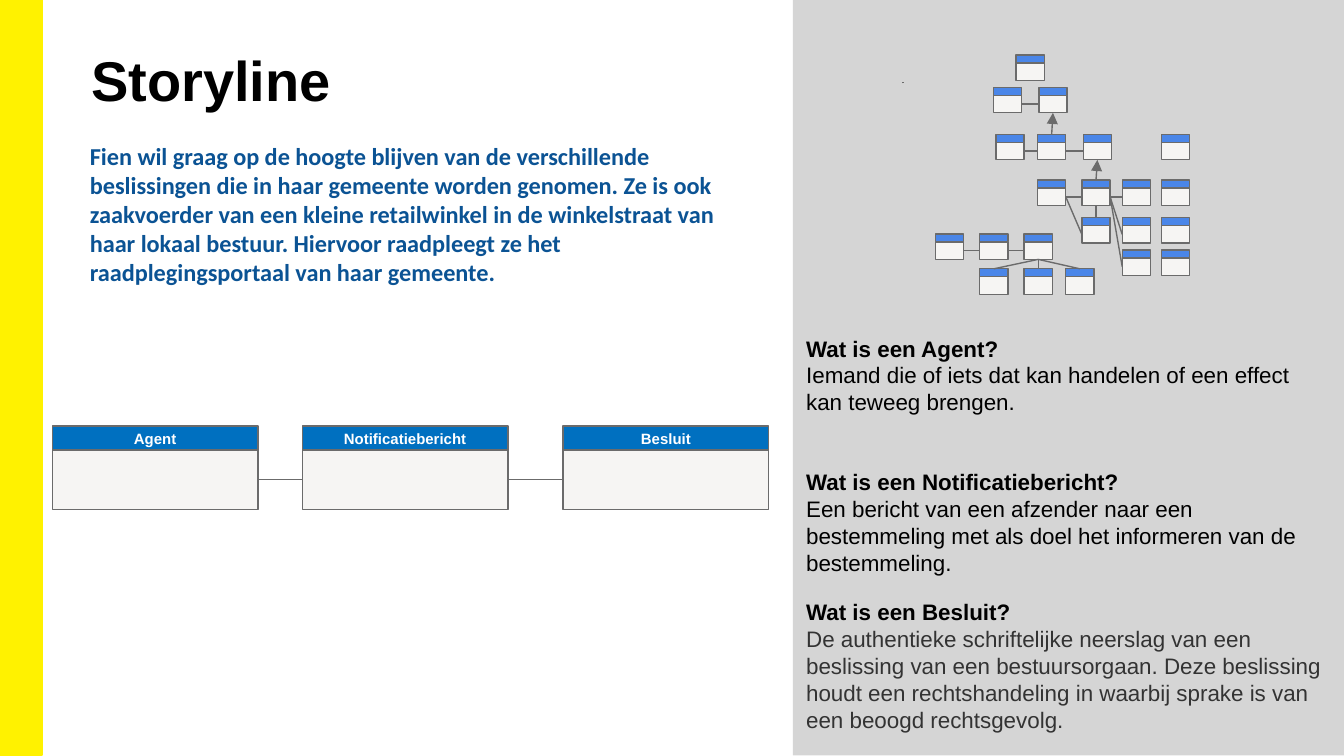
from lxml import etree
from pptx import Presentation
from pptx.dml.color import RGBColor
from pptx.enum.shapes import MSO_CONNECTOR, MSO_SHAPE
from pptx.enum.text import MSO_ANCHOR, PP_ALIGN
from pptx.oxml.ns import qn
from pptx.util import Inches, Pt

GREY = "6B6B6B"
TOP, LEFT, BOTTOM, RIGHT = range(4)

rgb = RGBColor.from_string
prs = Presentation()
prs.slide_width = Inches(10)
prs.slide_height = prs.slide_width * 9 // 16
s = prs.slides.add_slide(prs.slide_layouts[5])


def add_rect(x, y, w, h, fill, line=None, width=0.75):
    sp = s.shapes.add_shape(MSO_SHAPE.RECTANGLE, Inches(x), Inches(y), Inches(w), Inches(h))
    sp.shadow.inherit = False
    sp.fill.solid()
    sp.fill.fore_color.rgb = rgb(fill)
    if line:
        sp.line.color.rgb = rgb(line)
        sp.line.width = Pt(width)
    else:
        sp.line.fill.background()
    return sp


def join(begin, begin_site, end, end_site, arrow=False):
    """Join two rectangles with a straight line between side middles."""
    c = s.shapes.add_connector(MSO_CONNECTOR.STRAIGHT, 0, 0, 0, 0)
    c.begin_connect(begin, begin_site)
    c.end_connect(end, end_site)
    c.line.color.rgb = rgb(GREY)
    c.line.width = Pt(0.75)
    if arrow:
        etree.SubElement(c.line._get_or_add_ln(), qn("a:tailEnd"), type="triangle")
    etree.SubElement(c._element.spPr, qn("a:effectLst"))


# Yellow strip and grey panel with definitions
add_rect(0, 0, 0.31, 5.62, "FFF200", "FFF200", 1)
panel = add_rect(5.9, 0, 4.1, 5.62, "D5D5D5")
tf = panel.text_frame
tf.word_wrap = True
tf.vertical_anchor = MSO_ANCHOR.TOP
tf.margin_top = Inches(2.49)
definitions = [
    ("Wat is een Agent?",
     "Iemand die of iets dat kan handelen of een effect kan teweeg brengen.", 0, "000000"),
    ("Wat is een Notificatiebericht?",
     "Een bericht van een afzender naar een bestemmeling met als doel het informeren "
     "van de bestemmeling.", 28.5, "000000"),
    ("Wat is een Besluit?",
     "De authentieke schriftelijke neerslag van een beslissing van een bestuursorgaan. "
     "Deze beslissing houdt een rechtshandeling in waarbij sprake is van een beoogd "
     "rechtsgevolg.", 12, "333333"),
]
p = tf.paragraphs[0]
for question, answer, gap, color in definitions:
    for text, bold, before, c in ((question, True, gap, "000000"), (answer, False, 0, color)):
        if p.text:
            p = tf.add_paragraph()
        p.text = text
        p.alignment = PP_ALIGN.LEFT
        p.space_before = Pt(before)
        font = p.runs[0].font
        font.name, font.size, font.bold = "Arial", Pt(12), bold
        font.color.rgb = rgb(c)

# Title and story
title = s.shapes.title
title.left, title.top, title.width, title.height = [Inches(v) for v in (0.61, 0.3, 8.97, 0.6)]
story = s.shapes.add_textbox(Inches(0.57), Inches(0.95), Inches(5.21), Inches(1.3))
texts = [
    (title, "Storyline", "Arial", 30, "000000", 0.07, 0.06, MSO_ANCHOR.BOTTOM),
    (story, "Fien wil graag op de hoogte blijven van de verschillende beslissingen die in haar "
     "gemeente worden genomen. Ze is ook zaakvoerder van een kleine retailwinkel in de "
     "winkelstraat van haar lokaal bestuur. Hiervoor raadpleegt ze het raadplegingsportaal "
     "van haar gemeente.", "Calibri", 13, "0B5394", 0.1, 0.1, MSO_ANCHOR.TOP),
]
for sp, text, name, size, color, side, edge, anchor in texts:
    tf = sp.text_frame
    tf.text = text
    tf.word_wrap = True
    tf.vertical_anchor = anchor
    tf.margin_left = tf.margin_right = Inches(side)
    tf.margin_top = tf.margin_bottom = Inches(edge)
    p = tf.paragraphs[0]
    p.alignment = PP_ALIGN.LEFT
    font = p.runs[0].font
    font.name, font.size, font.bold = name, Pt(size), True
    font.color.rgb = rgb(color)

# Main classes
bodies = []
for x, name in ((0.39, "Agent"), (2.25, "Notificatiebericht"), (4.19, "Besluit")):
    bodies.append(add_rect(x, 3.35, 1.53, 0.44, "F6F5F3", GREY))
    header = add_rect(x, 3.17, 1.53, 0.18, "0070C0", GREY)
    tf = header.text_frame
    tf.text = name
    tf.margin_top = tf.margin_bottom = 0
    tf.vertical_anchor = MSO_ANCHOR.MIDDLE
    p = tf.paragraphs[0]
    p.alignment = PP_ALIGN.CENTER
    font = p.runs[0].font
    font.name, font.size, font.bold = "Arial", Pt(8), True
    font.color.rgb = rgb("FFFFFF")
for left, right in zip(bodies, bodies[1:]):
    join(left, RIGHT, right, LEFT)

# Overview map of small classes, keyed by row letter and column number
rows = {
    "A": (0.41, [7.56]),
    "B": (0.65, [7.39, 7.73]),
    "C": (1, [7.41, 7.72, 8.06, 8.64]),
    "D": (1.34, [7.72, 8.05, 8.35, 8.64]),
    "E": (1.62, [8.05, 8.35, 8.64]),
    "F": (1.74, [6.96, 7.29, 7.62]),
    "G": (1.86, [8.35, 8.64]),
    "H": (2, [7.29, 7.62, 7.93]),
}
body, head = {}, {}
for row, (y, columns) in rows.items():
    for i, x in enumerate(columns, 1):
        body[f"{row}{i}"] = add_rect(x, y + 0.06, 0.21, 0.13, "F6F5F3", GREY)
        head[f"{row}{i}"] = add_rect(x, y, 0.21, 0.06, "4A86E8", GREY)

for right, left in (("B2", "B1"), ("C2", "C1"), ("C3", "C2"), ("D2", "D1"), ("D3", "D2"),
                    ("E1", "D1"), ("E2", "D2"), ("G1", "D2"), ("F2", "F1"), ("F3", "F2")):
    join(body[right], LEFT, body[left], RIGHT)
for lower, upper, arrow in (("C2", "B2", True), ("D2", "C3", True), ("E1", "D2", False),
                            ("H1", "F3", False), ("H2", "F3", False), ("H3", "F3", False)):
    join(head[lower], TOP, body[upper], BOTTOM, arrow)

dot = s.shapes.add_connector(MSO_CONNECTOR.STRAIGHT, Inches(6.72), Inches(0.62),
                             Inches(6.72), Inches(0.61))
dot.line.color.rgb = rgb(GREY)
dot.line.width = Pt(0.75)
etree.SubElement(dot._element.spPr, qn("a:effectLst"))

prs.save("out.pptx")
